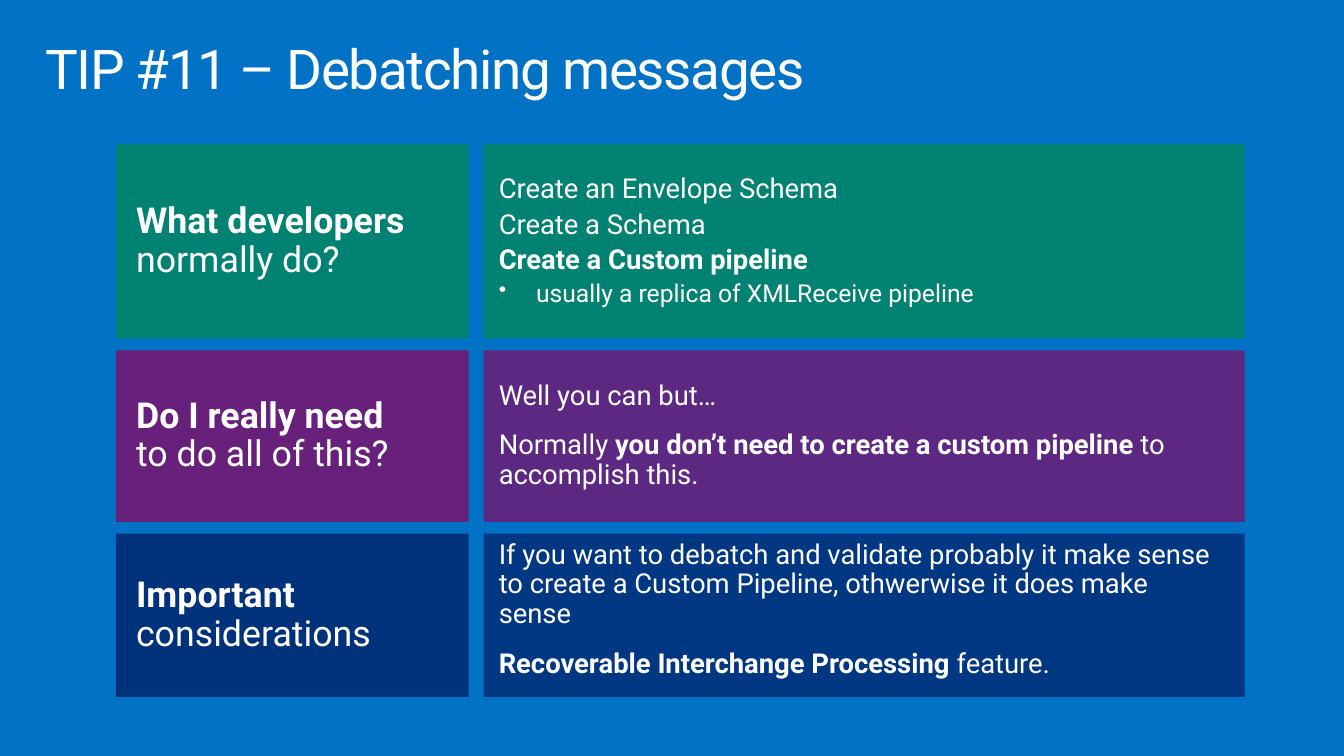
from lxml import etree
from pptx import Presentation
from pptx import util as u
from pptx.dml.color import RGBColor
from pptx.enum import shapes, text
from pptx.oxml.ns import qn

BLUE = RGBColor(0x00, 0x72, 0xC6)
GREEN = RGBColor(0x00, 0x82, 0x72)
PURPLE = RGBColor(0x68, 0x21, 0x7A)
NAVY = RGBColor(0x00, 0x31, 0x7B)
WHITE = RGBColor(0xFF, 0xFF, 0xFF)

LABEL_LEFT, LABEL_WIDTH = 2.92, 8.89
ANSWER_LEFT, ANSWER_WIDTH = 12.19, 19.18
FIRST_TOP, ROW_GAP = 3.63, 0.3

# Each row: colour, opacity of the answer panel, height, bottom inset, label, answer.
# An answer paragraph is (space before, parts); a part is (text, bold).
ROWS = [
    (GREEN, 100, 4.9, 0, ("What developers", "normally do?"), [
        (0, [("Create an Envelope Schema", False)]),
        (4, [("Create a Schema", False)]),
        (4, [("Create a Custom pipeline", True)]),
        (4, "usually a replica of XMLReceive pipeline"),
    ]),
    (PURPLE, 90, 4.32, 0, ("Do I really need", "to do all of this?"), [
        (0, [("Well you can but…", False)]),
        (14, [("Normally ", False),
              ("you don’t need to create a custom pipeline", True),
              (" to accomplish this.", False)]),
    ]),
    (NAVY, 90, 4.11, 0.26, ("Important", "considerations"), [
        (0, [("If you want to debatch and validate probably it make sense to create "
              "a Custom Pipeline, othwerwise it does make sense", False)]),
        (15, [("Recoverable Interchange Processing", True), (" feature.", False)]),
    ]),
]


class TipSlide:
    """Holds the style and the current slide."""

    font_name = "Roboto"
    title_size, label_size, answer_size, bullet_size = 39.2, 25.5, 19.6, 17.6

    def __init__(self, presentation):
        self.slide = presentation.slides.add_slide(presentation.slide_layouts[6])
        background = self.slide.background.fill
        background.solid()
        background.fore_color.rgb = BLUE

    def style_run(self, run, size, bold=False):
        run.font.name = self.font_name
        run.font.size = u.Pt(size)
        run.font.bold = bold
        run.font.color.rgb = WHITE

    def set_frame(self, shape, insets, anchor):
        frame = shape.text_frame
        frame.word_wrap = True
        frame.vertical_anchor = anchor
        (frame.margin_left, frame.margin_top,
         frame.margin_right, frame.margin_bottom) = map(u.Cm, insets)
        return frame

    def set_paragraph(self, paragraph, before=0):
        paragraph.alignment = text.PP_ALIGN.LEFT
        paragraph.line_spacing = 0.9
        paragraph.space_before = u.Pt(before)

    def panel(self, left, top, width, height, color, opacity=100):
        shape = self.slide.shapes.add_shape(
            shapes.MSO_SHAPE.RECTANGLE, *map(u.Cm, (left, top, width, height)))
        shape.shadow.inherit = False
        shape.fill.solid()
        shape.fill.fore_color.rgb = color
        shape.line.fill.background()
        if opacity < 100:
            fill_color = shape.fill._xPr.find(".//" + qn("a:srgbClr"))
            etree.SubElement(fill_color, qn("a:alpha"), val=str(opacity * 1000))
        return shape

    def title(self, words):
        box = self.slide.shapes.add_textbox(*map(u.Cm, (0.74, 0.81, 32.39, 2.49)))
        frame = self.set_frame(box, (0.41, 0.25, 0.41, 0.25), text.MSO_ANCHOR.TOP)
        frame.text = words
        paragraph = frame.paragraphs[0]
        self.set_paragraph(paragraph)
        run = paragraph.runs[0]
        self.style_run(run, self.title_size)
        run._r.get_or_add_rPr().set("spc", "-100")

    def label(self, top, height, color, lines):
        shape = self.panel(LABEL_LEFT, top, LABEL_WIDTH, height, color)
        frame = self.set_frame(shape, (0.51, 0.28, 0.51, 0.28), text.MSO_ANCHOR.MIDDLE)
        paragraph = frame.paragraphs[0]
        paragraph.text = "\v".join(lines)
        self.set_paragraph(paragraph)
        for run, bold in zip(paragraph.runs, (True, False)):
            self.style_run(run, self.label_size, bold)

    def bullet(self, paragraph, words):
        properties = paragraph._p.get_or_add_pPr()
        indent = u.Cm(0.94)
        properties.set("marL", str(indent))
        properties.set("indent", str(-indent))
        etree.SubElement(properties, qn("a:buSzPct"), val="90000")
        etree.SubElement(properties, qn("a:buChar"), char="•")
        paragraph.text = words
        self.style_run(paragraph.runs[0], self.bullet_size)

    def answer(self, top, height, color, opacity, bottom_inset, paragraphs):
        shape = self.panel(ANSWER_LEFT, top, ANSWER_WIDTH, height, color, opacity)
        frame = self.set_frame(shape, (0.38, 0, 0.51, bottom_inset), text.MSO_ANCHOR.MIDDLE)
        for index, (before, content) in enumerate(paragraphs):
            paragraph = frame.add_paragraph() if index else frame.paragraphs[0]
            if isinstance(content, str):
                self.bullet(paragraph, content)
            else:
                for words, bold in content:
                    run = paragraph.add_run()
                    run.text = words
                    self.style_run(run, self.answer_size, bold)
            self.set_paragraph(paragraph, before)


def main():
    presentation = Presentation()
    presentation.slide_width = u.Cm(33.87)
    presentation.slide_height = u.Cm(19.05)
    tip = TipSlide(presentation)

    # Title
    tip.title("TIP #11 – Debatching messages")

    # Question and answer rows
    top = FIRST_TOP
    for color, opacity, height, bottom_inset, lines, paragraphs in ROWS:
        tip.label(top, height, color, lines)
        tip.answer(top, height, color, opacity, bottom_inset, paragraphs)
        top += height + ROW_GAP

    presentation.save("out.pptx")


if __name__ == "__main__":
    main()
